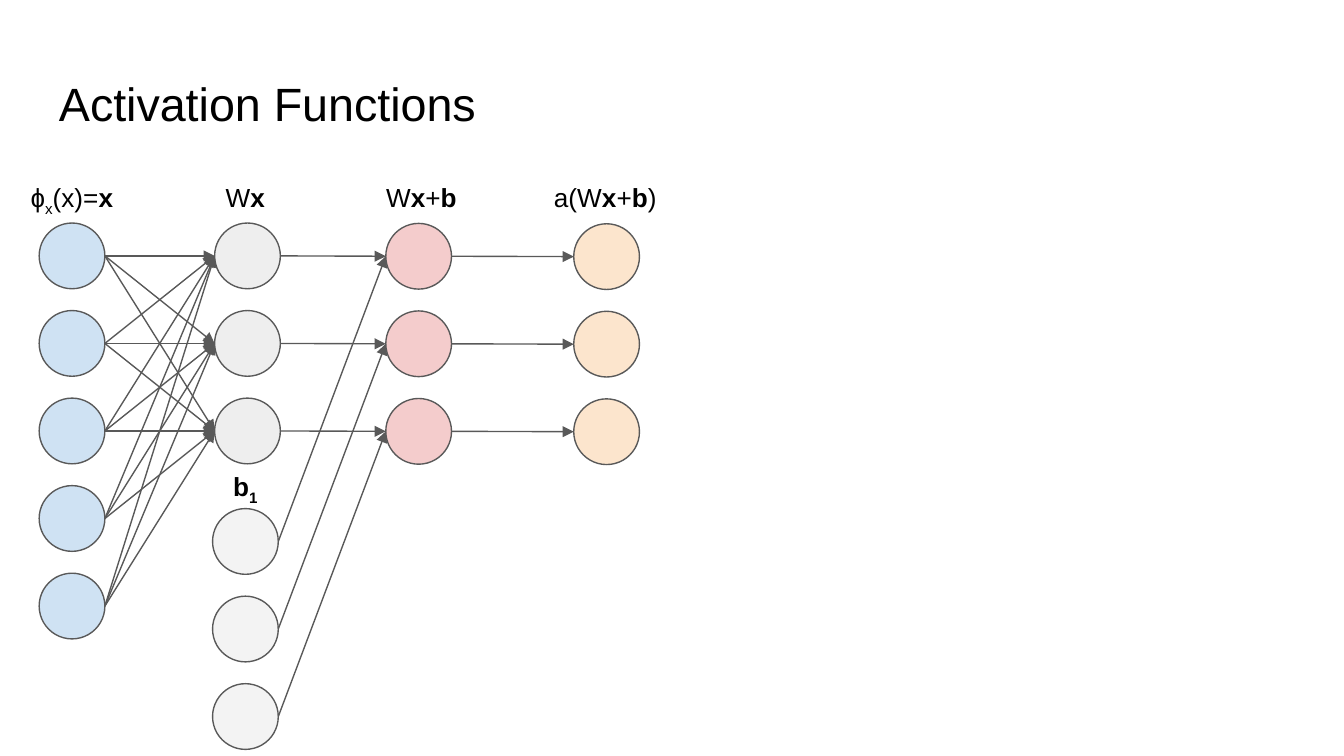
from itertools import product
from lxml.etree import SubElement
from pptx import Presentation
from pptx.dml.color import RGBColor
from pptx.enum.shapes import MSO_CONNECTOR as CONN, MSO_SHAPE as SHAPE
from pptx.enum.text import MSO_ANCHOR as ANCHOR, MSO_AUTO_SIZE as FIT, PP_ALIGN as ALIGN
from pptx.oxml.ns import qn
from pptx.util import Pt

COLORS = {
    "text": "000000",
    "line": "595959",
    "input": "CFE2F3",
    "weighted": "EEEEEE",
    "bias": "F3F3F3",
    "sum": "F4CCCC",
    "activation": "FCE5CD",
}
DIAMETER = 35.2
PITCH = 46.9
LABEL_HEIGHT = 31.7


def rgb(name):
    return RGBColor.from_string(COLORS[name])


def add_text(s, box, pieces, size, align):
    tf = s.shapes.add_textbox(*map(Pt, box)).text_frame
    tf.word_wrap = True
    tf.vertical_anchor = ANCHOR.TOP
    tf.margin_left = tf.margin_right = tf.margin_top = tf.margin_bottom = Pt(7.2)
    p = tf.paragraphs[0]
    p.alignment = align
    for text, style in pieces:
        r = p.add_run()
        r.text = text
        r.font.name = "Arial"
        r.font.size = Pt(size)
        r.font.color.rgb = rgb("text")
        r.font.bold = "bold" in style
        if "sub" in style:
            r._r.get_or_add_rPr().set("baseline", "-25000")
    return tf


def add_title(s, box, title):
    tf = add_text(s, box, [(title, "")], 25, ALIGN.LEFT)
    p = tf.paragraphs[0]
    p.line_spacing = 0.95
    p.space_after = Pt(12)


def add_label(s, box, pieces):
    tf = add_text(s, box, pieces, 14, ALIGN.CENTER)
    tf.auto_size = FIT.SHAPE_TO_FIT_TEXT


def add_layer(s, left, top, count, color):
    nodes = []
    for i in range(count):
        sp = s.shapes.add_shape(SHAPE.OVAL, Pt(left), Pt(top + i * PITCH), Pt(DIAMETER), Pt(DIAMETER))
        sp.shadow.inherit = False
        sp.fill.solid()
        sp.fill.fore_color.rgb = rgb(color)
        sp.line.color.rgb = rgb("line")
        sp.line.width = Pt(0.75)
        nodes.append(sp)
    return nodes


def add_arrows(s, pairs):
    for start, end in pairs:
        cx = s.shapes.add_connector(
            CONN.STRAIGHT,
            start.left + start.width, start.top + start.height // 2,
            end.left, end.top + end.height // 2,
        )
        cx.line.color.rgb = rgb("line")
        cx.line.width = Pt(0.75)
        SubElement(cx.line._get_or_add_ln(), qn("a:tailEnd"), type="triangle")
        SubElement(cx._element.spPr, qn("a:effectLst"))


def add_network(s, left, top):
    label_top = top - 29.5
    inputs = add_layer(s, left, top, 5, "input")
    weighted = add_layer(s, left + 94, top, 3, "weighted")
    biases = add_layer(s, left + 92.9, top + 153, 3, "bias")
    sums = add_layer(s, left + 185.7, top + 0.2, 3, "sum")
    activations = add_layer(s, left + 286.4, top + 0.4, 3, "activation")

    add_arrows(s, product(inputs, weighted))
    for starts, ends in [(weighted, sums), (biases, sums), (sums, activations)]:
        add_arrows(s, zip(starts, ends))

    labels = [
        (-13.1, label_top, 61.2, [("ɸ", ""), ("x", "sub"), ("(x)=", ""), ("x", "bold")]),
        (79.8, label_top, 61.2, [("W", ""), ("x", "bold")]),
        (79.8, top + 125.3, 61.2, [("b", "bold"), ("1", "bold sub")]),
        (172.7, label_top, 64.1, [("W", ""), ("x", "bold"), ("+", ""), ("b", "bold")]),
        (264.8, label_top, 77, [("a(W", ""), ("x", "bold"), ("+", ""), ("b", "bold"), (")", "")]),
    ]
    for offset, y, width, pieces in labels:
        add_label(s, (left + offset, y, width, LABEL_HEIGHT), pieces)


def main():
    prs = Presentation()
    prs.slide_width, prs.slide_height = Pt(720), Pt(405)
    s = prs.slides.add_slide(prs.slide_layouts[6])
    add_title(s, (24.5, 35.3, 671, 45.4), "Activation Functions")
    add_network(s, 21, 119.5)
    prs.save("out.pptx")


if __name__ == "__main__":
    main()
